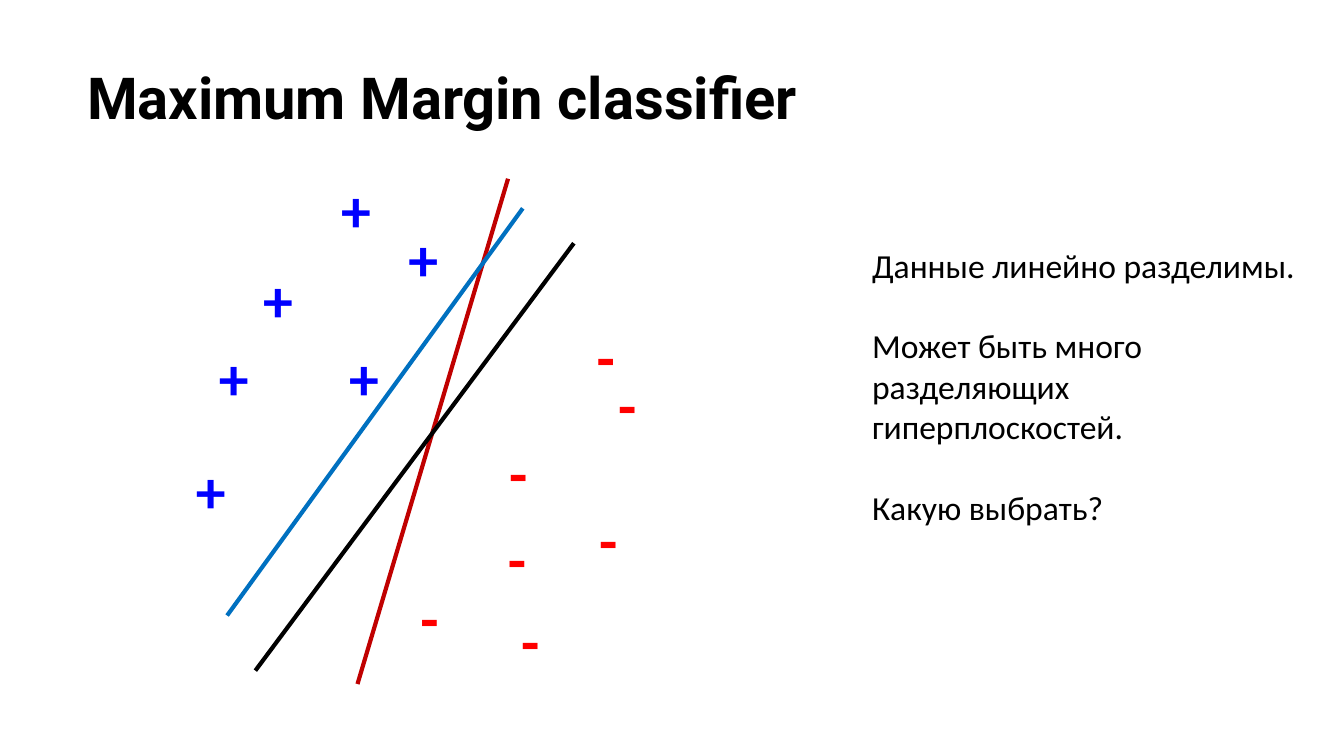
"""Build the slide on the maximum margin classifier."""
from typing import NamedTuple

from lxml.etree import SubElement
from pptx import Presentation
from pptx.dml.color import RGBColor
from pptx.enum.shapes import MSO_CONNECTOR as Connector
from pptx.oxml.ns import qn
from pptx.util import Inches, Pt

BLACK = RGBColor(0x00, 0x00, 0x00)
BLUE = RGBColor(0x00, 0x00, 0xFF)
RED = RGBColor(0xFF, 0x00, 0x00)
DARK_RED = RGBColor(0xC0, 0x00, 0x00)
SKY_BLUE = RGBColor(0x00, 0x70, 0xC0)


class Style(NamedTuple):
    font: str
    size: int
    color: RGBColor
    bold: bool = False
    margin: float = 0.1
    gap: float = 0


class PointClass(NamedTuple):
    sign: str
    width: float
    color: RGBColor
    positions: list[tuple[float, float]]


class Hyperplane(NamedTuple):
    start: tuple[float, float]
    end: tuple[float, float]
    color: RGBColor


TITLE = Style("Roboto", 31, BLACK, bold=True)
BODY = Style("Calibri", 18, BLACK, gap=21.6)

POINT_CLASSES = [
    PointClass("+", 0.44, BLUE, [(2.44, 1.24), (1.86, 1.91), (2.94, 1.6),
                                 (1.36, 3.33), (1.53, 2.49), (2.5, 2.49)]),
    PointClass("-", 0.35, RED, [(4.34, 2.33), (4.5, 2.69), (3.69, 3.19), (3.03, 4.27),
                                (4.36, 3.69), (3.68, 3.83), (3.78, 4.44)]),
]
HYPERPLANES = [
    Hyperplane((3.78, 1.33), (2.66, 5.09), DARK_RED),
    Hyperplane((3.89, 1.55), (1.69, 4.58), SKY_BLUE),
    Hyperplane((4.27, 1.81), (1.9, 4.99), BLACK),
]


def add_text(slide, left: float, top: float, width: float, height: float,
             lines: list[str], style: Style) -> None:
    box = slide.shapes.add_textbox(Inches(left), Inches(top), Inches(width), Inches(height))
    tf = box.text_frame
    tf.word_wrap = True
    tf.margin_left = tf.margin_right = Inches(0.1)
    tf.margin_top = tf.margin_bottom = Inches(style.margin)
    tf.text = "\n".join(lines)
    for i, p in enumerate(tf.paragraphs):
        if i:
            p.space_before = Pt(style.gap)
        for r in p.runs:
            r.font.name = style.font
            r.font.size = Pt(style.size)
            r.font.bold = style.bold
            r.font.color.rgb = style.color


def add_points(slide, points: PointClass) -> None:
    style = Style("Calibri", 32, points.color, bold=True, margin=0.05)
    for left, top in points.positions:
        add_text(slide, left, top, points.width, 0.64, [points.sign], style)


def add_hyperplane(slide, plane: Hyperplane) -> None:
    ends = [Inches(v) for v in (*plane.start, *plane.end)]
    line = slide.shapes.add_connector(Connector.STRAIGHT, *ends)
    line.line.color.rgb = plane.color
    line.line.width = Pt(2.25)
    SubElement(line._element.spPr, qn("a:effectLst"))


def main() -> None:
    prs = Presentation()
    prs.slide_width = Inches(10)
    prs.slide_height = Inches(10 * 9 / 16)
    slide = prs.slides.add_slide(prs.slide_layouts[6])
    add_text(slide, 0.55, 0.36, 9.32, 1.2, ["Maximum Margin classifier"], TITLE)
    add_text(slide, 6.39, 1.72, 3.41, 2.72, [
        "Данные линейно разделимы.",
        "Может быть много разделяющих гиперплоскостей.",
        "Какую выбрать?",
    ], BODY)
    for points in POINT_CLASSES:
        add_points(slide, points)
    for plane in HYPERPLANES:
        add_hyperplane(slide, plane)
    prs.save("out.pptx")


if __name__ == "__main__":
    main()
